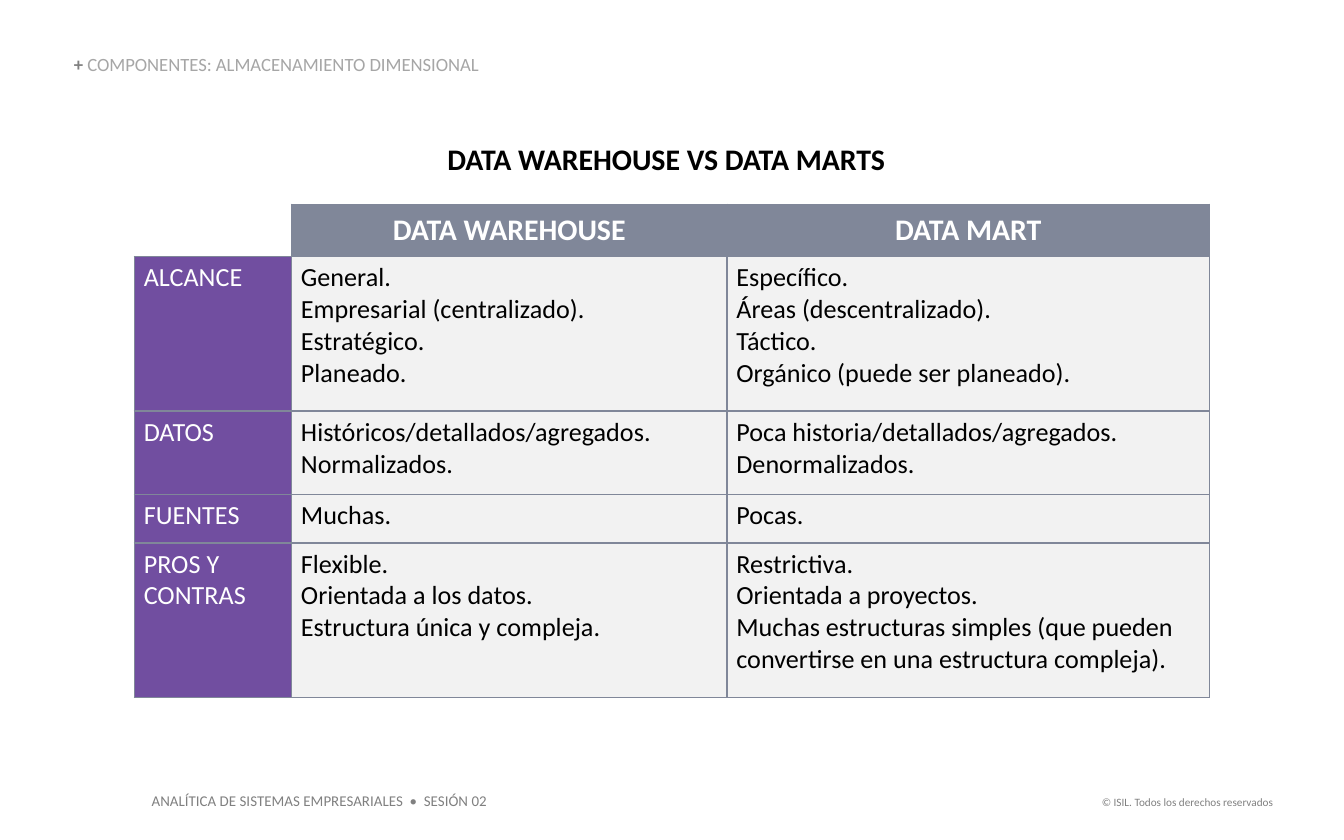
from pptx import Presentation
from pptx.dml.color import RGBColor
from pptx.enum.text import MSO_ANCHOR, PP_ALIGN
from pptx.oxml import parse_xml
from pptx.oxml.ns import nsdecls
from pptx.util import Inches, Pt

COLORS = {
    "slate": "808799", "purple": "714EA0", "pale": "F2F2F2", "white": "FFFFFF",
    "black": "000000", "gray": "808080", "light_gray": "A6A6A6",
}


def add_text(left, top, width, height, pieces, size, bold=False, inset=(0.1, 0.05)):
    """Add a one-paragraph box; pieces are (text, color, bold) runs."""
    box = page.shapes.add_textbox(*map(Inches, (left, top, width, height)))
    frame = box.text_frame
    frame.word_wrap = True
    frame.margin_left = frame.margin_right = Inches(inset[0])
    frame.margin_top = frame.margin_bottom = Inches(inset[1])
    para = frame.paragraphs[0]
    for text, color, bold in pieces:
        span = para.add_run()
        span.text = text
        style_font(span.font, size, color, bold)
    return frame


def style_font(font, size, color, bold=False):
    font.name = "Calibri"
    font.size = Pt(size)
    font.bold = bold
    font.color.rgb = RGBColor.from_string(COLORS[color])


deck = Presentation()
deck.slide_width, deck.slide_height = Inches(10), Inches(6.25)
page = deck.slides.add_slide(deck.slide_layouts[6])

# Footer
course = add_text(1.03, 5.84, 2.7, 0.24,
                  [("ANALÍTICA DE SISTEMAS EMPRESARIALES  •  SESIÓN 02", "gray", False)], 8)
course.word_wrap = False
rights = add_text(8.07, 5.87, 1.5, 0.2,
                  [("© ISIL. Todos los derechos reservados", "gray", False)], 6)
rights.word_wrap = False
rights.paragraphs[0].alignment = PP_ALIGN.RIGHT

# Comparison table: one paragraph per line of a cell
rows = [
    ["", "DATA WAREHOUSE", "DATA MART"],
    ["ALCANCE",
     "General.\nEmpresarial (centralizado).\nEstratégico.\nPlaneado.",
     "Específico.\nÁreas (descentralizado).\nTáctico.\nOrgánico (puede ser planeado)."],
    ["DATOS",
     "Históricos/detallados/agregados.\nNormalizados.",
     "Poca historia/detallados/agregados.\nDenormalizados."],
    ["FUENTES", "Muchas.", "Pocas."],
    ["PROS Y CONTRAS",
     "Flexible.\nOrientada a los datos.\nEstructura única y compleja.",
     "Restrictiva.\nOrientada a proyectos.\nMuchas estructuras simples "
     "(que pueden convertirse en una estructura compleja)."],
]
column_widths = [1.17, 3.24, 3.59]
row_heights = [0.39, 1.15, 0.62, 0.36, 1.15]

table = page.shapes.add_table(len(rows), len(column_widths), Inches(1), Inches(1.52),
                              Inches(sum(column_widths)), Inches(sum(row_heights))).table
table.first_row = table.horz_banding = False
for column, width in zip(table.columns, column_widths):
    column.width = Inches(width)
for row, height in zip(table.rows, row_heights):
    row.height = Inches(height)

for row_index, texts in enumerate(rows):
    for column_index, text in enumerate(texts):
        cell = table.cell(row_index, column_index)
        is_header, is_label = row_index == 0, column_index == 0
        is_corner = is_header and is_label
        cell.margin_left = cell.margin_right = Inches(0.07)
        cell.margin_top = cell.margin_bottom = Inches(0.04)

        for side in "LRTB":
            hidden = is_corner and side in "LT"
            paint = ("<a:noFill/>" if hidden else
                     f'<a:solidFill><a:srgbClr val="{COLORS["slate"]}"/></a:solidFill>')
            cell._tc.get_or_add_tcPr().append(parse_xml(
                f'<a:ln{side} {nsdecls("a")} w="{Pt(1)}">{paint}</a:ln{side}>'))

        if is_corner:
            cell.fill.background()
            continue
        fill = "slate" if is_header else "purple" if is_label else "pale"
        cell.fill.solid()
        cell.fill.fore_color.rgb = RGBColor.from_string(COLORS[fill])
        cell.vertical_anchor = MSO_ANCHOR.MIDDLE if is_header else MSO_ANCHOR.TOP

        cell.text_frame.text = text
        for para in cell.text_frame.paragraphs:
            para.alignment = PP_ALIGN.CENTER if is_header else PP_ALIGN.LEFT
            style_font(para.runs[0].font, 16 if is_header else 14,
                       "black" if fill == "pale" else "white", is_header)

# Titles
add_text(3.23, 1, 3.51, 0.37, [("DATA WAREHOUSE VS DATA MARTS", "black", True)], 16)
section = add_text(0.55, 0.41, 4.57, 0.15,
                   [("+ ", "gray", True),
                    ("COMPONENTES: ALMACENAMIENTO DIMENSIONAL", "light_gray", False)],
                   10, inset=(0, 0))
section.vertical_anchor = MSO_ANCHOR.BOTTOM
section.paragraphs[0].line_spacing = 0.9

deck.save("out.pptx")
